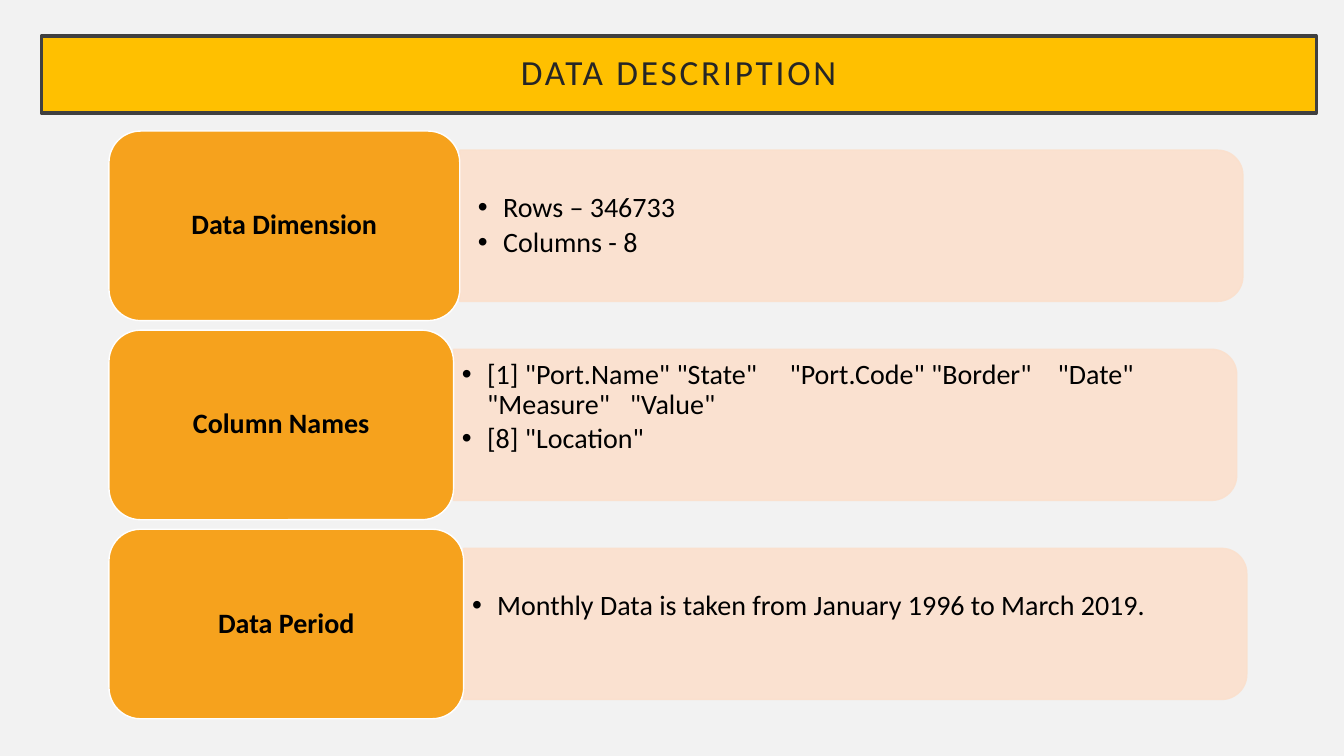
from dataclasses import dataclass

from lxml import etree
from pptx import Presentation
from pptx.dml.color import RGBColor
from pptx.enum.shapes import MSO_SHAPE
from pptx.enum.text import MSO_ANCHOR, PP_ALIGN
from pptx.oxml.ns import qn
from pptx.shapes.autoshape import Shape
from pptx.slide import Slide
from pptx.text.text import TextFrame
from pptx.util import Pt

RECT = MSO_SHAPE.RECTANGLE
ROUNDED = MSO_SHAPE.ROUNDED_RECTANGLE
ROUND_TOP = MSO_SHAPE.ROUND_2_SAME_RECTANGLE
MIDDLE = MSO_ANCHOR.MIDDLE
CENTER, LEFT = PP_ALIGN.CENTER, PP_ALIGN.LEFT


@dataclass(frozen=True)
class Theme:
    font: str = "Calibri"
    title_size: float = 25.2
    body_size: float = 20
    background: str = "F2F2F2"
    title_fill: str = "FFC000"
    title_line: str = "404040"
    title_text: str = "262626"
    label_fill: str = "F6A21D"
    label_line: str = "FFFFFF"
    bar: str = "FBE0CD"
    text: str = "000000"


@dataclass(frozen=True)
class Row:
    label: str
    label_width: float
    bullets: tuple[str, ...]
    pad_x: float = 6
    pad_y: float = 3
    extra_bottom: float = 0
    tabs: tuple[float, ...] = ()


THEME = Theme()
LABEL_LEFT, FIRST_TOP, ROW_PITCH, LABEL_HEIGHT = 77.8, 93.6, 142.2, 135.4
BAR_WIDTH, BAR_HEIGHT = 559.4, 108
BODY_WIDTH, BODY_HEIGHT = 554.4, 98
BULLET_INDENT = 18

ROWS = (
    Row("Data Dimension", 250.6, ("Rows – 346733", "Columns - 8"), pad_x=13, pad_y=6.5),
    Row(
        "Column Names",
        246.2,
        (
            '[1] "Port.Name" "State"\t"Port.Code" "Border"\t"Date" "Measure"\t"Value"',
            '[8] "Location"',
        ),
        extra_bottom=25,
        tabs=(120, 234, 425.5),
    ),
    Row(
        "Data Period",
        253.4,
        ("Monthly Data is taken from January 1996 to March 2019.",),
        extra_bottom=25,
    ),
)


def add_box(s: Slide, kind: MSO_SHAPE, left: float, top: float, width: float,
            height: float, fill: str, line: str, line_width: float = 1) -> Shape:
    sp = s.shapes.add_shape(kind, Pt(left), Pt(top), Pt(width), Pt(height))
    sp.shadow.inherit = False
    sp.fill.solid()
    sp.fill.fore_color.rgb = RGBColor.from_string(fill)
    sp.line.color.rgb = RGBColor.from_string(line)
    sp.line.width = Pt(line_width)
    return sp


def set_frame(tf: TextFrame, pad_x: float, pad_y: float, extra_bottom: float = 0) -> None:
    tf.word_wrap = True
    tf.vertical_anchor = MIDDLE
    tf.margin_left = tf.margin_right = Pt(pad_x)
    tf.margin_top, tf.margin_bottom = Pt(pad_y), Pt(pad_y + extra_bottom)


def write(tf: TextFrame, *lines: str, size: float = THEME.body_size,
          color: str = THEME.text, bold: bool = False, align: PP_ALIGN = CENTER,
          tracking: float = 0, bullet: bool = False, space_after: float = 0,
          tabs: tuple[float, ...] = ()) -> None:
    for i, line in enumerate(lines):
        p = tf.paragraphs[0] if i == 0 else tf.add_paragraph()
        p.alignment = align
        p.line_spacing = 0.9
        p.space_after = Pt(space_after)
        if bullet:
            add_bullet(p, tabs)
        r = p.add_run()
        r.text = line
        r.font.name = THEME.font
        r.font.size = Pt(size)
        r.font.bold = bold
        r.font.color.rgb = RGBColor.from_string(color)
        if tracking:
            r.font._element.set("spc", str(round(tracking * 100)))


def add_bullet(p, tabs: tuple[float, ...]) -> None:
    """Give the paragraph a hanging bullet and left tab stops."""
    p.level = 1
    pr = p._p.get_or_add_pPr()
    pr.set("marL", str(Pt(BULLET_INDENT)))
    pr.set("indent", str(-Pt(BULLET_INDENT)))
    etree.SubElement(pr, qn("a:buFont"), typeface="Arial")
    etree.SubElement(pr, qn("a:buChar"), char="•")
    if tabs:
        stops = etree.SubElement(pr, qn("a:tabLst"))
        for pos in tabs:
            etree.SubElement(stops, qn("a:tab"), pos=str(Pt(pos)), algn="l")


def add_title(s: Slide) -> None:
    sp = add_box(s, RECT, 29.5, 25.9, 910.8, 54.7, THEME.title_fill, THEME.title_line, 2.5)
    set_frame(sp.text_frame, 14.4, 14.4)
    write(sp.text_frame, "DATA DESCRIPTION", size=THEME.title_size,
          color=THEME.title_text, tracking=2)


def add_bar(s: Slide, left: float, middle: float) -> None:
    """Turn a round-topped rectangle so that its rounded end faces right."""
    sp = add_box(s, ROUND_TOP, left + (BAR_WIDTH - BAR_HEIGHT) / 2,
                 middle - BAR_WIDTH / 2, BAR_HEIGHT, BAR_WIDTH, THEME.bar, THEME.bar)
    sp.rotation = 90
    for color in sp._element.spPr.iter(qn("a:srgbClr")):
        etree.SubElement(color, qn("a:alpha"), val="90000")


def add_row(s: Slide, row: Row, top: float) -> None:
    middle = top + LABEL_HEIGHT / 2
    right = LABEL_LEFT + row.label_width
    add_bar(s, right, middle)

    body = s.shapes.add_textbox(Pt(right), Pt(middle - BODY_HEIGHT / 2),
                                Pt(BODY_WIDTH), Pt(BODY_HEIGHT))
    set_frame(body.text_frame, row.pad_x, row.pad_y, row.extra_bottom)
    write(body.text_frame, *row.bullets, align=LEFT, bullet=True, space_after=3, tabs=row.tabs)

    label = add_box(s, ROUNDED, LABEL_LEFT, top, row.label_width, LABEL_HEIGHT,
                    THEME.label_fill, THEME.label_line)
    set_frame(label.text_frame, 6, 3)
    write(label.text_frame, row.label, bold=True)


def main() -> None:
    prs = Presentation()
    prs.slide_width, prs.slide_height = Pt(960), Pt(540)
    s = prs.slides.add_slide(prs.slide_layouts[6])
    s.background.fill.solid()
    s.background.fill.fore_color.rgb = RGBColor.from_string(THEME.background)
    add_title(s)
    for i, row in enumerate(ROWS):
        add_row(s, row, FIRST_TOP + i * ROW_PITCH)
    prs.save("out.pptx")


if __name__ == "__main__":
    main()
